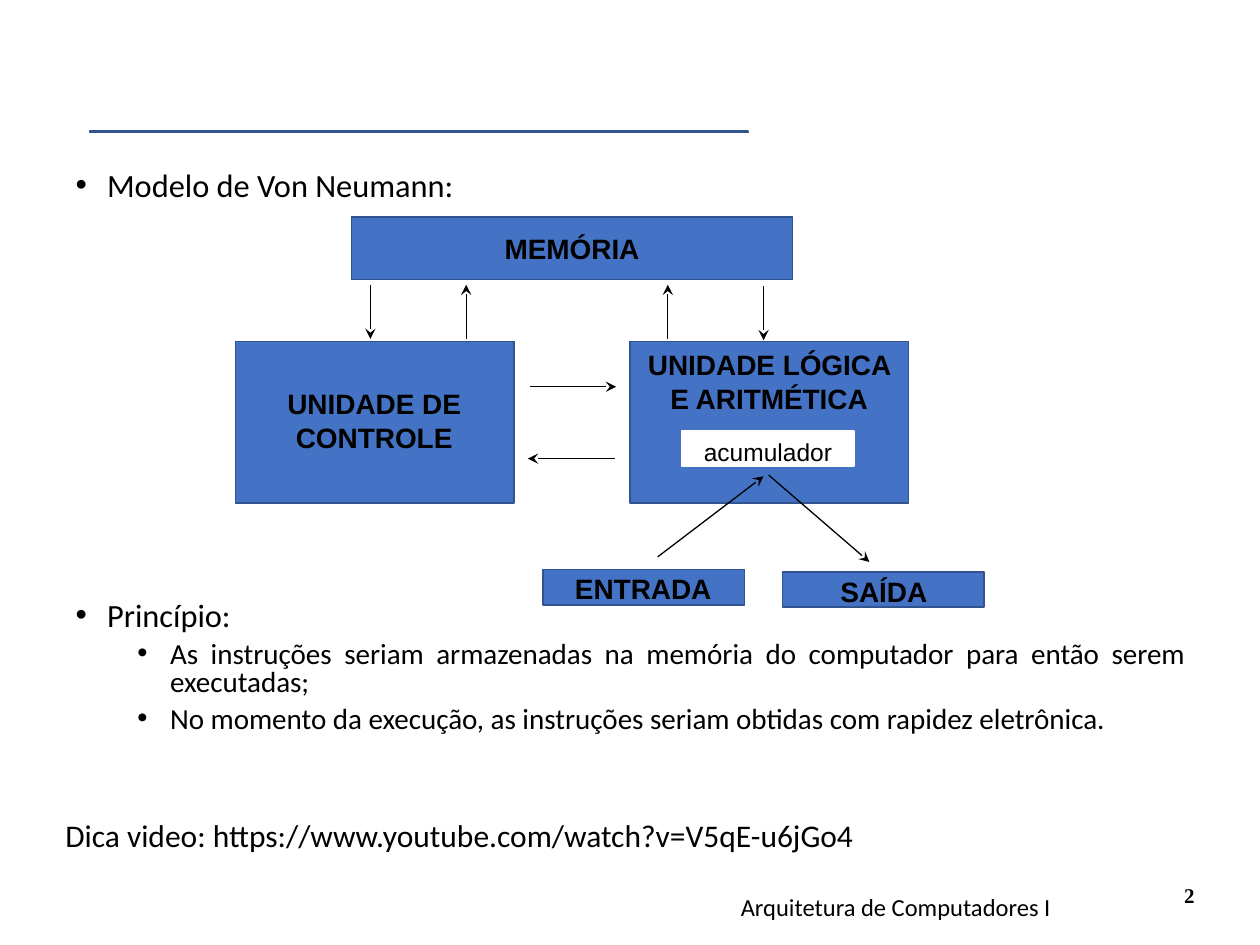
"""Build the slide on the Von Neumann model."""
from dataclasses import dataclass

from lxml import etree
from pptx import Presentation
from pptx import util as u
from pptx.dml.color import RGBColor
from pptx.enum import shapes, text
from pptx.oxml.ns import qn

COLUMNS, ROWS = 100, 75
ALIGN = text.PP_ALIGN


@dataclass(frozen=True)
class Theme:
    """Colours, fonts and type sizes."""
    ink: str = "000000"
    paper: str = "FFFFFF"
    block: str = "4472C4"
    edge: str = "31538F"
    body: str = "Calibri"
    diagram: str = "Arial"
    number: str = "Times New Roman"
    topic: float = 18.5
    detail: float = 16.6
    hint: float = 18
    label: float = 16
    small: float = 14
    page: float = 12


@dataclass(frozen=True)
class Box:
    """A region measured in grid columns and rows of a tenth of an inch."""
    left: float
    top: float
    width: float
    height: float

    def area(self, left, top, width, height):
        """Return a box placed relative to this one."""
        return Box(self.left + left, self.top + top, width, height)

    def point(self, column, row):
        """Return a point of the box as lengths."""
        return u.Inches((self.left + column) / 10), u.Inches((self.top + row) / 10)

    def place(self):
        """Return left, top, width and height as lengths."""
        return (*self.point(0, 0), u.Inches(self.width / 10), u.Inches(self.height / 10))


THEME = Theme()
PAGE = Box(0, 0, COLUMNS, ROWS)


def apply(target, formats):
    """Set every attribute named in a dict of format values."""
    for name, value in formats.items():
        setattr(target, name, value)


def write(paragraph, words, face, size, bold=False, **formats):
    """Write one run and format it and its paragraph."""
    run = paragraph.add_run()
    run.text = words
    apply(run.font, {"name": face, "size": u.Pt(size), "bold": bold})
    run.font.color.rgb = RGBColor.from_string(THEME.ink)
    apply(paragraph, formats)


def indent(paragraph, margin, hanging=0, bullet=None):
    """Set the left margin, hanging indent and bullet of a paragraph."""
    properties = paragraph._p.get_or_add_pPr()
    properties.set("marL", str(int(u.Inches(margin))))
    properties.set("indent", str(-int(u.Inches(hanging))))
    if bullet:
        colour = etree.SubElement(properties, qn("a:buClr"))
        etree.SubElement(colour, qn("a:srgbClr"), val=THEME.ink)
        etree.SubElement(properties, qn("a:buFont"), typeface=THEME.diagram)
        etree.SubElement(properties, qn("a:buChar"), char=bullet)


def add_text(parent, box, words, face, size, bold=False, frame=None, **formats):
    """Add a wrapped text box and return its paragraph."""
    label = parent.add_textbox(*box.place()).text_frame
    apply(label, {"word_wrap": True, **(frame or {})})
    write(label.paragraphs[0], words, face, size, bold, **formats)
    return label.paragraphs[0]


def add_block(parent, box, kind=shapes.MSO_SHAPE.RECTANGLE, fill=THEME.block, edge=THEME.edge):
    """Add a flat outlined shape."""
    block = parent.add_shape(kind, *box.place())
    block.shadow.inherit = False
    block.fill.solid()
    block.fill.fore_color.rgb = RGBColor.from_string(fill)
    block.line.color.rgb = RGBColor.from_string(edge)
    block.line.width = u.Pt(1)
    return block


def add_arrow(parent, start, end):
    """Add a thin arrow between two points."""
    arrow = parent.add_connector(shapes.MSO_CONNECTOR.STRAIGHT, *start, *end)
    arrow.line.color.rgb = RGBColor.from_string(THEME.ink)
    arrow.line.width = u.Pt(0.75)
    etree.SubElement(arrow.line._get_or_add_ln(), qn("a:tailEnd"), type="stealth")
    etree.SubElement(arrow._element.spPr, qn("a:effectLst"))


def fill_outline(body, box):
    """Fill the body placeholder, leaving room for the diagram before the second topic."""
    apply(body, dict(zip(("left", "top", "width", "height"), box.place())))
    frame = body.text_frame
    frame.auto_size = text.MSO_AUTO_SIZE.NONE
    outline = (
        ("Modelo de Von Neumann:", 0, 0),
        ("Princípio:", 0, 228),
        ("As instruções seriam armazenadas na memória do computador para então serem executadas;", 1, 5),
        ("No momento da execução, as instruções seriam obtidas com rapidez eletrônica.", 1, 5),
    )
    levels = ((0.25, 0.25, THEME.topic), (0.75, 0.26, THEME.detail))
    for index, (words, level, gap) in enumerate(outline):
        paragraph = frame.add_paragraph() if index else frame.paragraphs[0]
        margin, hanging, size = levels[level]
        indent(paragraph, margin, hanging, "•")
        write(paragraph, words, THEME.body, size, level=level, line_spacing=0.8,
              space_before=u.Pt(gap), alignment=ALIGN.JUSTIFY)


def add_diagram(slide, box):
    """Draw the units of the model and the flow between them."""
    group = slide.shapes.add_group_shape().shapes
    units = (
        ("MEMÓRIA", (9.2, 0, 35, 5), (19.1, 0.7, 15.2, 3.7)),
        ("UNIDADE DE CONTROLE", (0, 9.9, 22.1, 12.8), (2.1, 13, 17.8, 6.4)),
        ("UNIDADE LÓGICA E ARITMÉTICA", (31.3, 9.9, 22.1, 12.8), (31.3, 9.9, 22.1, 6.4)),
        ("acumulador", (35.4, 17, 13.7, 2.8), (35.8, 17, 12.9, 3.4)),
        ("ENTRADA", (24.4, 28, 16, 2.8), (25.9, 27.7, 12.9, 3.7)),
        ("SAÍDA", (43.4, 28.2, 16, 2.8), (45, 27.9, 12.9, 3.7)),
    )
    for words, block, label in units:
        register = words.islower()
        colours = {"fill": THEME.paper, "edge": THEME.paper} if register else {}
        add_block(group, box.area(*block), **colours)
        add_text(group, box.area(*label), words, THEME.diagram,
                 THEME.small if register else THEME.label, not register, alignment=ALIGN.CENTER)
    flows = (
        ((10.7, 5.4), (10.7, 9.7)), ((41.9, 5.5), (41.9, 9.8)),
        ((18.3, 9.7), (18.3, 5.4)), ((34.3, 9.7), (34.3, 5.4)),
        ((23.4, 13.5), (30.2, 13.5)), ((30.1, 19.2), (23.2, 19.2)),
        ((33.5, 27), (41.9, 20.6)), ((42.3, 20.5), (50.3, 27.4)),
    )
    for start, end in flows:
        add_arrow(group, box.point(*start), box.point(*end))


def add_footer(slide, box):
    """Add the video hint, course name and page number."""
    add_text(slide.shapes, box.area(48.9, 6.2, 44.4, 5), "Arquitetura de Computadores I",
             THEME.body, THEME.small, alignment=ALIGN.CENTER)
    add_text(slide.shapes, box.area(70, 3.4, 25.8, 5), "2", THEME.number, THEME.page, True,
             {"vertical_anchor": text.MSO_ANCHOR.BOTTOM}, alignment=ALIGN.RIGHT)
    margins = {"margin_top": u.Inches(0.1), "margin_bottom": u.Inches(0.1)}
    hint = add_text(slide.shapes, box.area(-5.8, 0, 86.3, 4.7),
                    "Dica video: https://www.youtube.com/watch?v=V5qE-u6jGo4",
                    THEME.body, THEME.hint, frame=margins, line_spacing=0.9,
                    alignment=ALIGN.JUSTIFY)
    indent(hint, 1)


def main():
    """Build and save the slide."""
    deck = Presentation()
    apply(deck, {"slide_width": u.Inches(COLUMNS / 10), "slide_height": u.Inches(ROWS / 10)})
    slide = deck.slides.add_slide(deck.slide_layouts[1])
    title = slide.shapes.title._element
    title.getparent().remove(title)
    fill_outline(slide.placeholders[1], PAGE.area(5, 13.2, 90, 49.5))
    rule = add_block(slide.shapes, PAGE.area(-2.3, 10.2, 71.1, 0.5), shapes.MSO_SHAPE.MATH_MINUS)
    rule.adjustments[0] = 0.235
    add_diagram(slide, PAGE.area(18.7, 17.2, 59.4, 31.4))
    add_footer(slide, PAGE.area(0, 64.1, COLUMNS, 10.9))
    deck.save("out.pptx")


if __name__ == "__main__":
    main()
